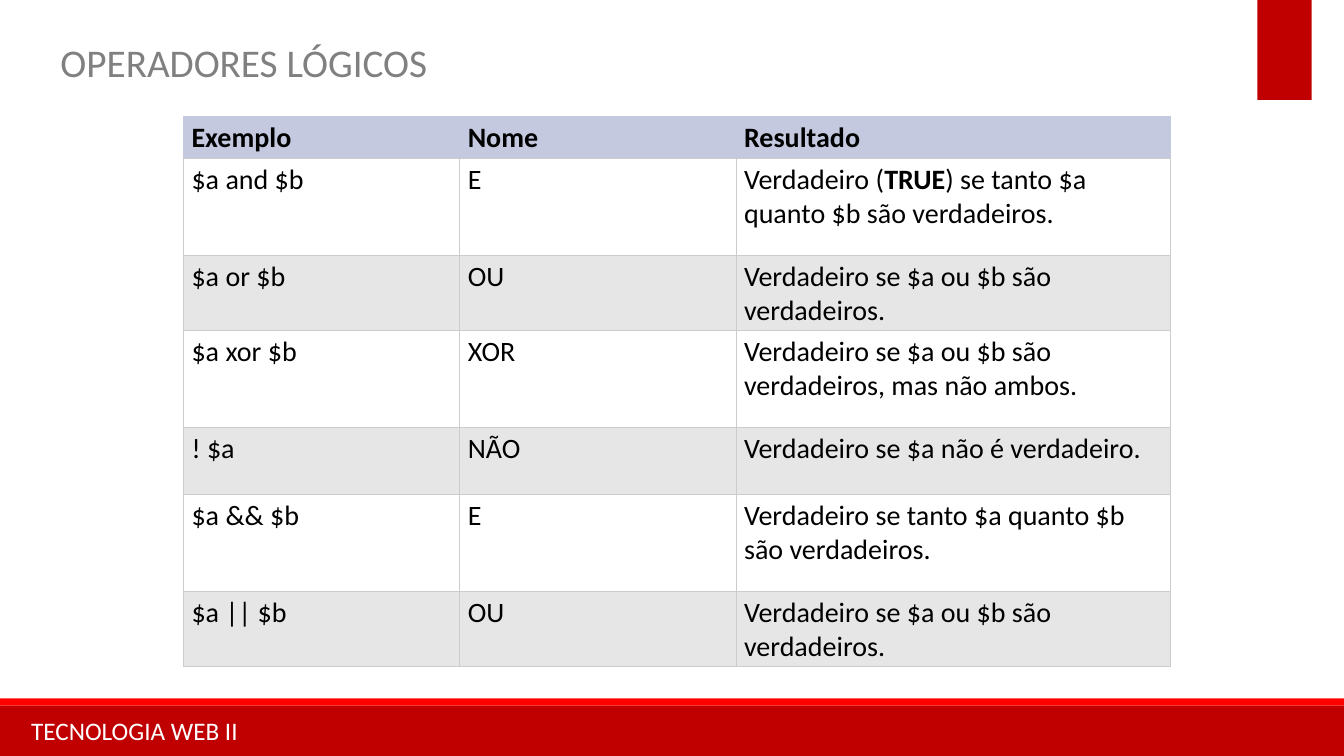
from lxml.etree import SubElement
from pptx import Presentation
from pptx.dml.color import RGBColor as RGB
from pptx.enum.shapes import MSO_SHAPE as SHAPE
from pptx.enum.text import MSO_ANCHOR as ANCHOR, MSO_AUTO_SIZE as AUTO, PP_ALIGN as ALIGN
from pptx.oxml.ns import qn
from pptx.util import Inches, Pt

W, H = 13.33, 7.5
FONT = "Calibri"
COLORS = {
    "red": "C00000", "bright": "FF0000", "white": "FFFFFF", "gray": "808080",
    "black": "000000", "header": "C4C9DF", "band": "E6E6E6", "border": "CCCCCC",
}

COL_WIDTHS = [2.74, 2.74, 4.31]
HEADER_H, TALL, SHORT = 0.38, 0.96, 0.67
# Bold parts stand between double asterisks
ROWS = [
    ("**Exemplo**", "**Nome**", "**Resultado**"),
    ("$a and $b", "E", "Verdadeiro (**TRUE**) se tanto $a quanto $b são verdadeiros."),
    ("$a or $b", "OU", "Verdadeiro se $a ou $b são verdadeiros."),
    ("$a xor $b", "XOR", "Verdadeiro se $a ou $b são verdadeiros, mas não ambos."),
    ("! $a", "NÃO", "Verdadeiro se $a não é verdadeiro."),
    ("$a && $b", "E", "Verdadeiro se tanto $a quanto $b são verdadeiros."),
    ("$a || $b", "OU", "Verdadeiro se $a ou $b são verdadeiros."),
]


def rgb(name):
    return RGB.from_string(COLORS[name])


def apply(obj, **values):
    for name, value in values.items():
        setattr(obj, name, value)


def place(sp, left, top, width, height):
    apply(sp, left=Inches(left), top=Inches(top), width=Inches(width), height=Inches(height))


def write(p, text, size, color):
    for i, part in enumerate(text.split("**")):
        if part:
            r = p.add_run()
            r.text = part
            apply(r.font, name=FONT, size=Pt(size), bold=i % 2 == 1)
            r.font.color.rgb = rgb(color)


def add_bar(slide, left, top, width, height, color):
    sp = slide.shapes.add_shape(SHAPE.RECTANGLE, *map(Inches, (left, top, width, height)))
    sp.shadow.inherit = False
    sp.fill.solid()
    sp.fill.fore_color.rgb = rgb(color)
    sp.line.fill.background()


def set_label(sp, text, size, color, wrap, anchor):
    tf = sp.text_frame
    apply(tf, word_wrap=wrap, auto_size=AUTO.SHAPE_TO_FIT_TEXT, vertical_anchor=anchor)
    p = tf.paragraphs[0]
    p.alignment = ALIGN.LEFT
    write(p, text, size, color)


def set_borders(cell, **sides):
    tc_pr = cell._tc.get_or_add_tcPr()
    for side, color in sides.items():
        ln = SubElement(tc_pr, qn(f"a:ln{side}"), w=str(Pt(0.75)))
        fill = SubElement(ln, qn("a:solidFill"))
        SubElement(fill, qn("a:srgbClr"), val=COLORS[color])


def format_cell(cell, text, row):
    edge = "border" if row else "header"
    set_borders(cell, L=edge, R=edge, T="border" if row else "header", B="border")
    cell.fill.solid()
    cell.fill.fore_color.rgb = rgb(("band" if row % 2 == 0 else "white") if row else "header")
    apply(cell, margin_left=Inches(0.08), margin_right=Inches(0.08),
          margin_top=Inches(0.04), margin_bottom=Inches(0.04),
          vertical_anchor=ANCHOR.TOP if row else ANCHOR.MIDDLE)
    write(cell.text_frame.paragraphs[0], text, 20, "black")


def add_operators(slide, left, top):
    heights = [HEADER_H] + [TALL, SHORT] * (len(ROWS) // 2)
    box = map(Inches, (left, top, sum(COL_WIDTHS), sum(heights)))
    table = slide.shapes.add_table(len(ROWS), len(COL_WIDTHS), *box).table
    for column, width in zip(table.columns, COL_WIDTHS):
        column.width = Inches(width)
    for i, (texts, height) in enumerate(zip(ROWS, heights)):
        table.rows[i].height = Inches(height)
        for j, text in enumerate(texts):
            format_cell(table.cell(i, j), text, i)


def main():
    prs = Presentation()
    apply(prs, slide_width=Inches(W), slide_height=Inches(H))
    slide = prs.slides.add_slide(prs.slide_layouts[5])

    # Footer band and corner tab
    add_bar(slide, 0, H - 0.5, W, 0.5, "red")
    add_bar(slide, 0, H - 0.57, W, 0.07, "bright")
    add_bar(slide, 12.47, 0, 0.54, 0.99, "red")
    footer = slide.shapes.add_textbox(*map(Inches, (0.21, 7.05, 7.11, 0.4)))
    set_label(footer, "TECNOLOGIA WEB II", 18, "white", True, ANCHOR.TOP)

    # Title
    title = slide.shapes.title
    place(title, 0.5, 0.33, 3.84, 0.57)
    set_label(title, "OPERADORES LÓGICOS", 28, "gray", False, ANCHOR.TOP)

    # Table of logical operators
    add_operators(slide, 1.82, 1.16)
    prs.save("out.pptx")


if __name__ == "__main__":
    main()
